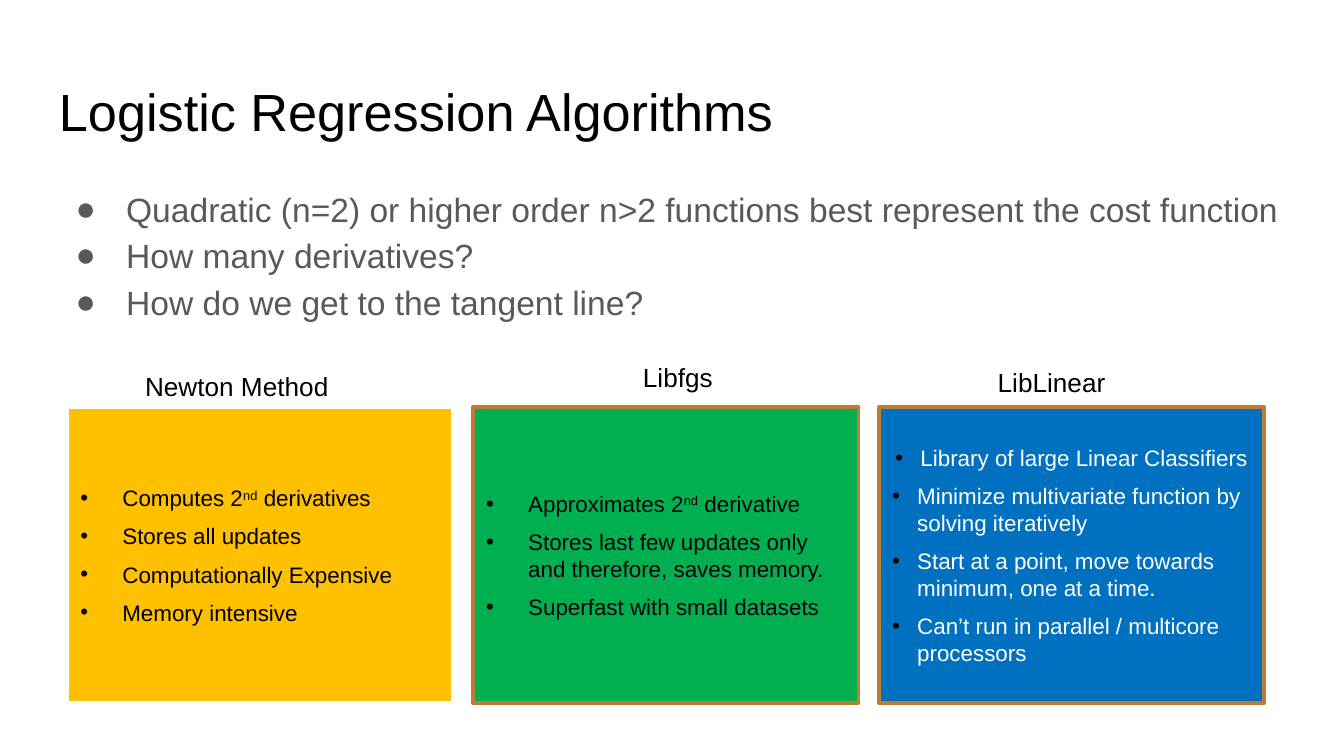
from lxml import etree
from pptx import Presentation
from pptx.dml.color import RGBColor
from pptx.enum.shapes import MSO_SHAPE
from pptx.enum.text import MSO_ANCHOR, PP_ALIGN
from pptx.oxml.ns import qn
from pptx.util import Pt

RECT = MSO_SHAPE.RECTANGLE
TOP, MIDDLE = MSO_ANCHOR.TOP, MSO_ANCHOR.MIDDLE
LEFT, CENTER = PP_ALIGN.LEFT, PP_ALIGN.CENTER

FONT = "Arial"
BLACK, WHITE, GREY, BROWN = "000000", "FFFFFF", "595959", "BD7F2F"

CARD_LEFT, CARD_TOP, CARD_STEP = 36, 218.2, 217.4
CARD_WIDTH, CARD_HEIGHT = 206.6, 158.4

QUESTIONS = [
    "Quadratic (n=2) or higher order n>2 functions best represent the cost function",
    "How many derivatives?",
    "How do we get to the tangent line?",
]

# Text between carets is superscript
CARDS = [
    {"fill": "FFC000", "border": WHITE, "color": BLACK, "indent": 22.5,
     "points": ["Computes 2^nd^ derivatives", "Stores all updates",
                "Computationally Expensive", "Memory intensive"]},
    {"fill": "00B050", "border": BROWN, "color": BLACK, "indent": 22.5,
     "points": ["Approximates 2^nd^ derivative",
                "Stores last few updates only and therefore, saves memory.",
                "Superfast with small datasets"]},
    {"fill": "0070C0", "border": BROWN, "color": WHITE, "indent": 13.5,
     "points": ["Library of large Linear Classifiers",
                "Minimize multivariate function by solving iteratively",
                "Start at a point, move towards minimum, one at a time.",
                "Can’t run in parallel / multicore processors"]},
]

# Text, left, top, width, alignment
HEADINGS = [
    ("Newton Method", 70.6, 195.1, 162, LEFT),
    ("Libfgs", 259.9, 190.1, 206.6, CENTER),
    ("LibLinear", 460.1, 193, 206.6, CENTER),
]


def rgb(value):
    return RGBColor.from_string(value)


def apply_format(target, values):
    for name, value in values.items():
        setattr(target, name, value)


def add_bullet(paragraph, char, color, margin, hanging):
    properties = paragraph._p.get_or_add_pPr()
    properties.set("marL", str(Pt(margin)))
    properties.set("indent", str(-Pt(hanging)))
    bullet_color = etree.SubElement(properties, qn("a:buClr"))
    etree.SubElement(bullet_color, qn("a:srgbClr")).set("val", color)
    etree.SubElement(properties, qn("a:buFont")).set("typeface", FONT)
    etree.SubElement(properties, qn("a:buChar")).set("char", char)


def write_paragraph(paragraph, text, size, color, layout):
    apply_format(paragraph, layout)
    for index, part in enumerate(text.split("^")):
        run = paragraph.add_run()
        run.text = part
        apply_format(run.font, {"name": FONT, "size": Pt(size)})
        run.font.color.rgb = rgb(color)
        if index % 2:
            run.font._element.set("baseline", "30000")


def next_paragraph(frame, index):
    return frame.add_paragraph() if index else frame.paragraphs[0]


def add_text(slide, box, lines, size, color, layout, inset=None, bullet=None):
    frame = slide.shapes.add_textbox(*map(Pt, box)).text_frame
    apply_format(frame, {"word_wrap": True, "vertical_anchor": TOP})
    if inset:
        apply_format(frame, {"margin_top": Pt(inset), "margin_bottom": Pt(inset)})
    for index, line in enumerate(lines):
        paragraph = next_paragraph(frame, index)
        write_paragraph(paragraph, line, size, color, layout)
        if bullet:
            add_bullet(paragraph, *bullet)


def add_card(slide, column, card):
    box = (CARD_LEFT + column * CARD_STEP, CARD_TOP, CARD_WIDTH, CARD_HEIGHT)
    shape = slide.shapes.add_shape(RECT, *map(Pt, box))
    shape.shadow.inherit = False
    shape.fill.solid()
    shape.fill.fore_color.rgb = rgb(card["fill"])
    shape.line.color.rgb = rgb(card["border"])
    shape.line.width = Pt(2)

    frame = shape.text_frame
    apply_format(frame, {"word_wrap": True, "vertical_anchor": MIDDLE})
    for index, point in enumerate(card["points"]):
        # The library's summary line is centred above its details
        is_summary = card["color"] == WHITE and index == 0
        layout = {"alignment": CENTER if is_summary else LEFT,
                  "space_before": Pt(0 if is_summary else 6)}
        paragraph = next_paragraph(frame, index)
        write_paragraph(paragraph, point, 12, card["color"], layout)
        add_bullet(paragraph, "•", BLACK, card["indent"], card["indent"])


def main():
    presentation = Presentation()
    apply_format(presentation, {"slide_width": Pt(720), "slide_height": Pt(405)})
    slide = presentation.slides.add_slide(presentation.slide_layouts[6])

    # Title and questions
    add_text(slide, (24.5, 35.3, 671, 45.4), ["Logistic Regression Algorithms"],
             28, BLACK, {"alignment": LEFT}, inset=7.2)
    add_text(slide, (24.5, 90.7, 671, 107.3), QUESTIONS, 18, GREY,
             {"alignment": LEFT, "line_spacing": 1.15}, inset=7.2,
             bullet=("●", GREY, 36, 27))

    # Algorithm cards
    for column, card in enumerate(CARDS):
        add_card(slide, column, card)

    # Card headings
    for text, left, top, width, alignment in HEADINGS:
        add_text(slide, (left, top, width, 24.5), [text], 14, BLACK,
                 {"alignment": alignment})

    presentation.save("out.pptx")


if __name__ == "__main__":
    main()
